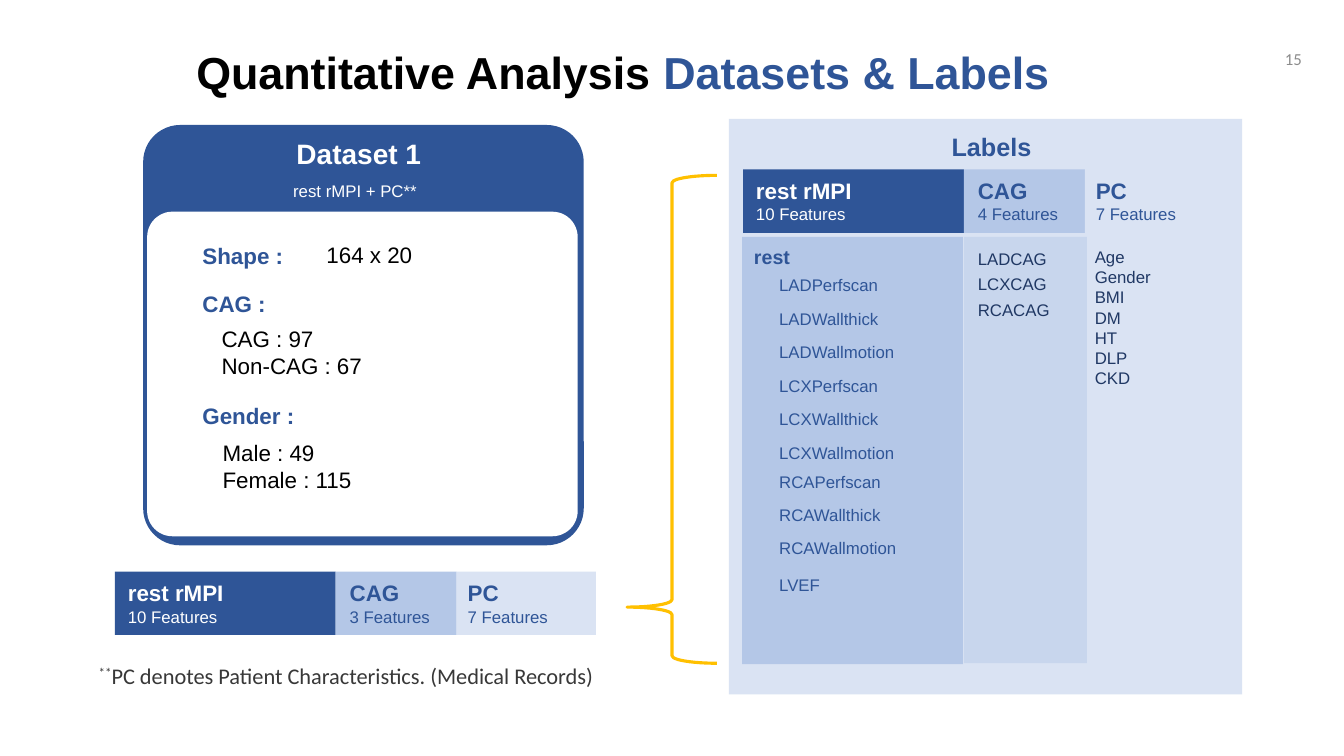
import pptx
import pptx.util
import pptx.dml.color
import pptx.enum.shapes
import pptx.enum.text
import pptx.oxml.ns
from lxml import etree

Inches = pptx.util.Inches
SHAPES = pptx.enum.shapes.MSO_SHAPE
ALIGN = pptx.enum.text.PP_ALIGN
ANCHOR = pptx.enum.text.MSO_ANCHOR

COLORS = {
    "blue": "2F5597",
    "navy": "203864",
    "mid": "B4C7E7",
    "pale": "DAE3F3",
    "white": "FFFFFF",
    "black": "000000",
    "gold": "FFC000",
    "gray": "8C8C8C",
    "charcoal": "383838",
}
TERRITORIES = ["LAD", "LCX", "RCA"]
MEASURES = ["Perfscan", "Wallthick", "Wallmotion"]
TERRITORY_TOPS = [2.68, 3.68, 4.63]


def color(name):
    return pptx.dml.color.RGBColor.from_string(COLORS[name])


def add_text(slide, box, *paragraphs, size=12, fill="blue", bold=False, font="Arial",
             align=ALIGN.LEFT, anchor=ANCHOR.TOP, spacing=None):
    shape = slide.shapes.add_textbox(*map(Inches, box))
    frame = shape.text_frame
    frame.word_wrap = True
    frame.vertical_anchor = anchor
    for index, runs in enumerate(paragraphs):
        paragraph = frame.paragraphs[0] if index == 0 else frame.add_paragraph()
        paragraph.alignment = align
        paragraph.line_spacing = spacing
        if isinstance(runs, str):
            runs = [(runs, {})]
        for words, changes in runs:
            run = paragraph.add_run()
            run.text = words
            run.font.name = font
            run.font.size = pptx.util.Pt(changes.get("size", size))
            run.font.bold = changes.get("bold", bold)
            run.font.color.rgb = color(changes.get("fill", fill))
            if "baseline" in changes:
                run.font._element.set("baseline", str(changes["baseline"]))


def add_block(slide, box, fill, kind=SHAPES.RECTANGLE, corner=None, opacity=None):
    shape = slide.shapes.add_shape(kind, *map(Inches, box))
    shape.shadow.inherit = False
    shape.fill.solid()
    shape.fill.fore_color.rgb = color(fill)
    shape.line.fill.background()
    if corner is not None:
        shape.adjustments[0] = corner
    if opacity is not None:
        tint = shape._element.spPr.find(".//" + pptx.oxml.ns.qn("a:srgbClr"))
        etree.SubElement(tint, pptx.oxml.ns.qn("a:alpha"), val=str(opacity * 1000))


def add_feature_band(slide, left, top, cag_count):
    columns = [
        ("rest rMPI", 10, 0, 2.19, 0.03, "blue", "white"),
        ("CAG", cag_count, 2.19, 1.2, 0.04, "mid", "blue"),
        ("PC", 7, 3.39, 1.38, 0.01, "pale", "blue"),
    ]
    for name, count, offset, width, inset, fill, ink in columns:
        add_block(slide, (left + offset, top, width, 0.63), fill)
        add_text(slide, (left + offset + inset, top + 0.03, 1.36, 0.57),
                 [(name, {"size": 16, "bold": True})], f"{count} Features", fill=ink)


def add_labels_panel(slide):
    add_block(slide, (7.23, 1.18, 5.09, 5.71), "pale")
    add_block(slide, (9.56, 2.35, 1.22, 4.23), "mid", opacity=45)
    add_block(slide, (7.36, 2.35, 2.19, 4.24), "mid")
    add_feature_band(slide, 7.37, 1.68, 4)
    add_text(slide, (9.34, 1.25, 1.2, 0.4), "Labels", size=18, bold=True)
    add_text(slide, (7.38, 2.38, 0.8, 0.34), "rest", size=14, bold=True)
    for index, (territory, top) in enumerate(zip(TERRITORIES, TERRITORY_TOPS)):
        for row, measure in enumerate(MEASURES):
            add_text(slide, (7.63, top + 0.33 * row, 1.6, 0.3), territory + measure)
        add_text(slide, (9.6, 2.42 + 0.25 * index, 1.1, 0.3), territory + "CAG", fill="navy")
    add_text(slide, (7.63, 5.65, 1.6, 0.3), "LVEF")
    add_text(slide, (10.76, 2.4, 1, 1.51),
             "Age", "Gender", "BMI", "DM", "HT", "DLP", "CKD", fill="navy")


def add_dataset_card(slide):
    rounded = SHAPES.ROUNDED_RECTANGLE
    add_block(slide, (1.42, 1.24, 4.37, 4.17), "blue", rounded, 0.088)
    add_block(slide, (1.46, 2.1, 4.27, 3.22), "white", rounded, 0.078)
    add_text(slide, (2.71, 1.31, 1.7, 0.44), "Dataset 1",
             size=20, fill="white", bold=True, align=ALIGN.CENTER)
    add_text(slide, (2.81, 1.74, 1.7, 0.3), "rest rMPI + PC**", fill="white")
    for top, heading in [(2.35, "Shape :"), (2.83, "CAG :"), (3.94, "Gender :")]:
        add_text(slide, (1.91, top, 1.24, 0.37), heading, size=16, bold=True)
    details = [
        (3.14, 2.34, ["164 x 20"]),
        (2.1, 3.18, ["CAG : 97", "Non-CAG : 67"]),
        (2.11, 4.31, ["Male : 49", "Female : 115"]),
    ]
    for left, top, lines in details:
        add_text(slide, (left, top, 2, 0.64 if len(lines) > 1 else 0.37),
                 *lines, size=16, fill="black")


def add_brace(slide, box):
    brace = slide.shapes.add_shape(SHAPES.LEFT_BRACE, *map(Inches, box))
    brace.shadow.inherit = False
    brace.fill.background()
    brace.line.color.rgb = color("gold")
    brace.line.width = pptx.util.Pt(2.25)
    brace.adjustments[0] = 0.083
    brace.adjustments[1] = 0.885


def main():
    presentation = pptx.Presentation()
    presentation.slide_width = Inches(13.33)
    presentation.slide_height = Inches(7.5)
    slide = presentation.slides.add_slide(presentation.slide_layouts[6])

    add_text(slide, (0.43, 0.02, 11.5, 1.45),
             [("Quantitative Analysis ", {"fill": "black"}), ("Datasets & Labels", {})],
             size=32, bold=True, align=ALIGN.CENTER, anchor=ANCHOR.MIDDLE, spacing=0.9)
    add_labels_panel(slide)
    add_text(slide, (10.01, 0.38, 3, 0.4), "15", fill="gray", font="Calibri",
             align=ALIGN.RIGHT, anchor=ANCHOR.MIDDLE)
    add_text(slide, (0.88, 6.52, 5.4, 0.37),
             [("**", {"baseline": 30000}),
              ("PC denotes Patient Characteristics. (Medical Records)", {})],
             size=16, fill="charcoal", font="Calibri")
    add_feature_band(slide, 1.14, 5.67, 3)
    add_dataset_card(slide)
    add_brace(slide, (6.22, 1.74, 0.89, 4.84))

    presentation.save("out.pptx")


if __name__ == "__main__":
    main()
